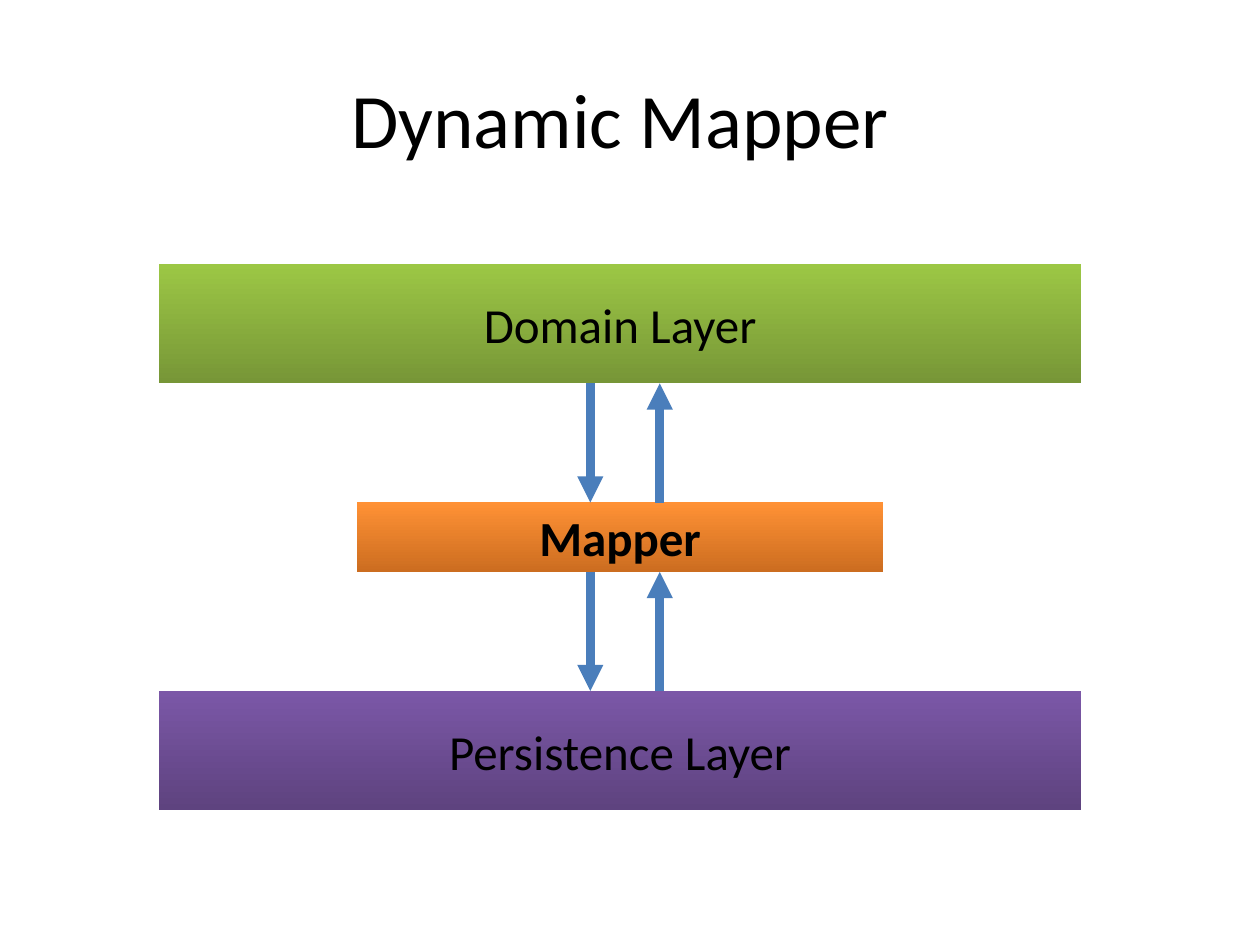
from dataclasses import dataclass

from lxml import etree
from pptx import Presentation
from pptx.dml.color import RGBColor
from pptx.enum.shapes import MSO_CONNECTOR, MSO_SHAPE
from pptx.enum.text import MSO_ANCHOR, PP_ALIGN
from pptx.oxml.ns import qn
from pptx.util import Cm, Pt

RECTANGLE = MSO_SHAPE.RECTANGLE
STRAIGHT = MSO_CONNECTOR.STRAIGHT
CENTER = PP_ALIGN.CENTER
TOP, MIDDLE = MSO_ANCHOR.TOP, MSO_ANCHOR.MIDDLE


@dataclass(frozen=True)
class Theme:
    font: str = "Calibri"
    text: str = "000000"
    arrow: str = "4A7EBB"
    title_size: int = 44
    layer_size: int = 28
    arrow_width: int = 5


THEME = Theme()
TITLE = "Dynamic Mapper"
# Text, width, height, top colour, bottom colour, bold
LAYERS = [
    ("Domain Layer", 18.6, 2.4, "9CC745", "779637", False),
    ("Mapper", 10.6, 1.4, "FF9135", "CC6D20", True),
    ("Persistence Layer", 18.6, 2.4, "7B57A7", "5E437F", False),
]
CENTER_X = 12.5
FIRST_TOP = 5.33
LAYER_GAP = 2.4
DOWN_X, UP_X = 11.9, 13.3


def write(tf, text, size, anchor, bold=False):
    tf.word_wrap = True
    tf.vertical_anchor = anchor
    p = tf.paragraphs[0]
    p.alignment = CENTER
    r = p.add_run()
    r.text = text
    r.font.name = THEME.font
    r.font.size = Pt(size)
    r.font.bold = bold
    r.font.color.rgb = RGBColor.from_string(THEME.text)


def add_layer(slide, top, layer):
    text, width, height, light, dark, bold = layer
    sp = slide.shapes.add_shape(RECTANGLE, Cm(CENTER_X - width / 2), Cm(top),
                                Cm(width), Cm(height))
    sp.shadow.inherit = False
    sp.line.fill.background()
    sp.fill.gradient()
    sp.fill.gradient_angle = 90
    for stop, color, position in zip(sp.fill.gradient_stops, (dark, light), (0, 1)):
        stop.color.rgb = RGBColor.from_string(color)
        stop.position = position
    write(sp.text_frame, text, THEME.layer_size, MIDDLE, bold)


def add_arrow(slide, x, start, end):
    line = slide.shapes.add_connector(STRAIGHT, Cm(x), Cm(start), Cm(x), Cm(end))
    line.line.color.rgb = RGBColor.from_string(THEME.arrow)
    line.line.width = Pt(THEME.arrow_width)
    etree.SubElement(line.line._get_or_add_ln(), qn("a:tailEnd"), type="triangle")
    etree.SubElement(line._element.spPr, qn("a:effectLst"))


def main():
    prs = Presentation()
    prs.slide_width, prs.slide_height = Cm(25.4), Cm(19.05)
    slide = prs.slides.add_slide(prs.slide_layouts[5])

    title = slide.shapes.title
    title.left, title.top = Cm(1.7), Cm(1.32)
    title.width, title.height = Cm(21.6), Cm(4.1)
    write(title.text_frame, TITLE, THEME.title_size, TOP)

    top = FIRST_TOP
    gaps = []
    for layer in LAYERS:
        add_layer(slide, top, layer)
        bottom = top + layer[2]
        top = bottom + LAYER_GAP
        gaps.append((bottom, top))

    for upper, lower in gaps[:-1]:
        add_arrow(slide, DOWN_X, upper, lower)
        add_arrow(slide, UP_X, lower, upper)

    prs.save("out.pptx")


if __name__ == "__main__":
    main()
